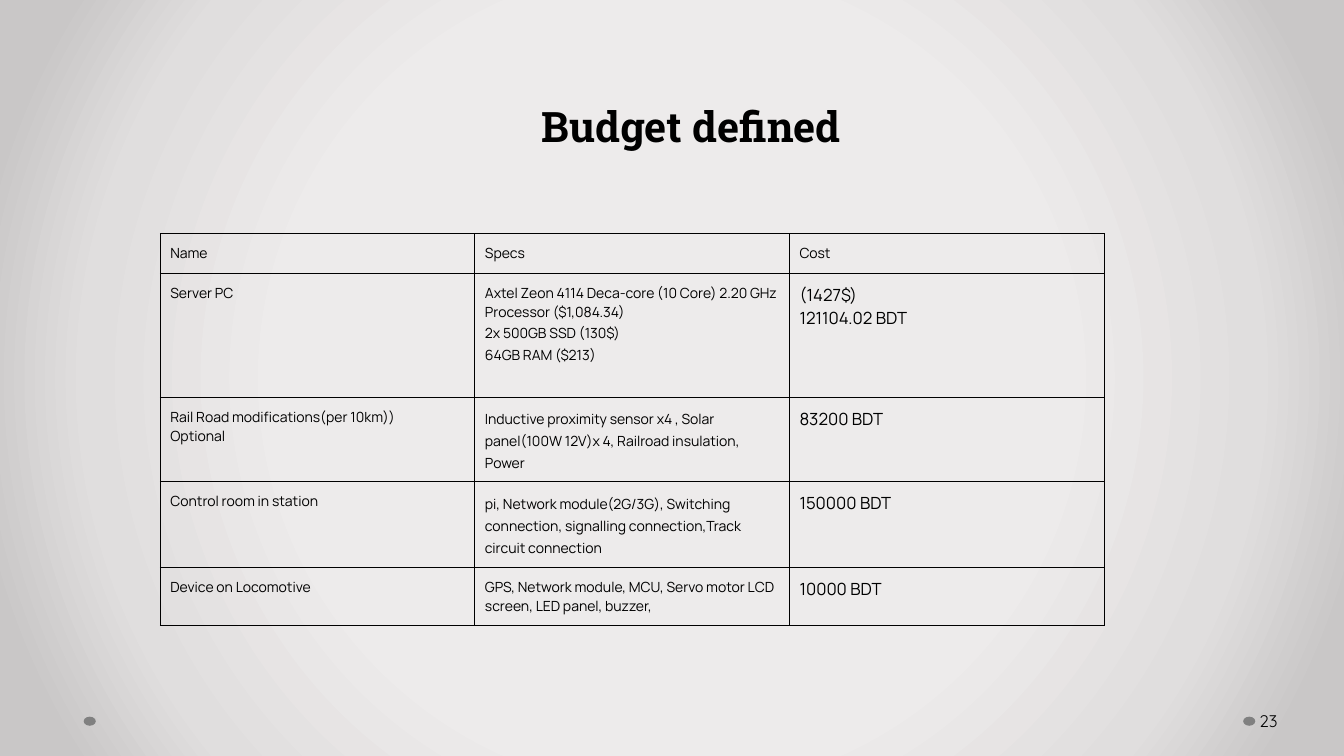
from lxml.etree import SubElement
from pptx import Presentation
from pptx.dml.color import RGBColor
from pptx.enum.shapes import MSO_SHAPE as Shape
from pptx.enum.text import MSO_ANCHOR as Anchor, PP_ALIGN as Align
from pptx.oxml.ns import qn
from pptx.util import Inches, Pt

BLACK = RGBColor(0x00, 0x00, 0x00)
GREY = RGBColor(0x80, 0x80, 0x80)
BACKDROP = {
    50: RGBColor(0xED, 0xEB, 0xEB),
    76: RGBColor(0xE0, 0xDE, 0xDE),
    92: RGBColor(0xC9, 0xC7, 0xC7),
}

COLUMN_WIDTH = 3.12
ROW_HEIGHTS = [0.39, 1.23, 0.84, 0.85, 0.58]
LOOSE = 1.15

# Each cell is a list of paragraphs: (text, line spacing)
SPECS = [
    [("Axtel Zeon 4114 Deca-core (10 Core) 2.20 GHz Processor ($1,084.34)", None),
     ("2x 500GB SSD (130$)", LOOSE),
     ("64GB RAM ($213)", LOOSE)],
    [("Inductive proximity sensor x4 , Solar panel(100W 12V)x 4, "
      "Railroad insulation, Power", LOOSE)],
    [("pi, Network module(2G/3G), Switching connection, "
      "signalling connection,Track circuit connection", LOOSE)],
    [("GPS, Network module, MCU, Servo motor LCD screen, LED panel, buzzer,", None)],
]
NAMES = [
    ["Server PC"],
    ["Rail Road modifications(per 10km))", "Optional"],
    ["Control room in station"],
    ["Device on Locomotive"],
]
COSTS = [["(1427$)", "121104.02 BDT"], ["83200 BDT"], ["150000 BDT"], ["10000 BDT"]]


def plain(lines):
    """Pair each line with the default line spacing."""
    return [(line, None) for line in lines]


class SlideBuilder:
    BODY = {"name": "Manrope", "size": Pt(10), "bold": False}
    COST = {**BODY, "size": Pt(12)}
    TITLE = {"name": "Roboto Slab", "size": Pt(30), "bold": True}
    NUMBER = {"name": "Quicksand", "size": Pt(12), "bold": False}

    def __init__(self, slide):
        self.slide = slide

    def background(self, stops):
        """Fill the slide with a circular gradient given as {percent: colour}."""
        self.slide.background.fill.gradient()
        gradient = self.slide.element.find(".//" + qn("a:gradFill"))
        for child in list(gradient):
            gradient.remove(child)
        stop_list = SubElement(gradient, qn("a:gsLst"))
        for percent, color in stops.items():
            stop = SubElement(stop_list, qn("a:gs"), pos=str(percent * 1000))
            SubElement(stop, qn("a:srgbClr"), val=str(color))
        circle = SubElement(gradient, qn("a:path"), {"path": "circle"})
        SubElement(circle, qn("a:fillToRect"), {side: "50000" for side in "ltrb"})

    def add_paragraphs(self, frame, paragraphs, style, align=None):
        for index, (text, spacing) in enumerate(paragraphs):
            paragraph = frame.add_paragraph() if index else frame.paragraphs[0]
            paragraph.alignment = align
            paragraph.line_spacing = spacing
            run = paragraph.add_run()
            run.text = text
            for name, value in style.items():
                setattr(run.font, name, value)
            run.font.color.rgb = BLACK

    def text(self, box, text, style, margins, anchor=Anchor.TOP, align=Align.LEFT):
        """Add a text box; margins are left, top, right, bottom."""
        frame = self.slide.shapes.add_textbox(*map(Inches, box)).text_frame
        frame.word_wrap = True
        frame.vertical_anchor = anchor
        for side, margin in zip(("left", "top", "right", "bottom"), margins):
            setattr(frame, f"margin_{side}", Inches(margin))
        self.add_paragraphs(frame, [(text, None)], style, align)

    def dot(self, left):
        shape = self.slide.shapes.add_shape(
            Shape.OVAL, Inches(left), Inches(7.11), Inches(0.12), Inches(0.09))
        shape.shadow.inherit = False
        shape.fill.solid()
        shape.fill.fore_color.rgb = GREY
        shape.line.fill.background()

    def cell(self, cell, paragraphs, style):
        for side in ("left", "top", "right", "bottom"):
            setattr(cell, f"margin_{side}", Inches(0.1))
        self.add_paragraphs(cell.text_frame, paragraphs, style)
        properties = cell._tc.get_or_add_tcPr()
        for side in "LRTB":
            border = SubElement(properties, qn(f"a:ln{side}"), w=str(Pt(0.75)))
            fill = SubElement(border, qn("a:solidFill"))
            SubElement(fill, qn("a:srgbClr"), val=str(BLACK))
        cell.fill.background()

    def table(self, left, top, rows):
        columns = len(rows[0])
        table = self.slide.shapes.add_table(
            len(rows), columns, Inches(left), Inches(top),
            Inches(COLUMN_WIDTH * columns), Inches(sum(ROW_HEIGHTS))).table
        table.first_row = table.horz_banding = False
        for column in table.columns:
            column.width = Inches(COLUMN_WIDTH)
        for row, height in zip(table.rows, ROW_HEIGHTS):
            row.height = Inches(height)
        for row_index, row in enumerate(rows):
            for column_index, paragraphs in enumerate(row):
                is_cost = row_index > 0 and column_index == columns - 1
                self.cell(table.cell(row_index, column_index), paragraphs,
                          self.COST if is_cost else self.BODY)


def main():
    presentation = Presentation()
    presentation.slide_width = Inches(13.33)
    presentation.slide_height = Inches(7.5)
    builder = SlideBuilder(presentation.slides.add_slide(presentation.slide_layouts[6]))

    builder.background(BACKDROP)
    for left in (12.33, 0.83):
        builder.dot(left)
    builder.text((12.46, 6.95, 0.82, 0.4), "23", builder.NUMBER,
                 (0.03, 0.05, 0.05, 0.05), anchor=Anchor.MIDDLE)

    header = [plain([heading]) for heading in ("Name", "Specs", "Cost")]
    body = [[plain(name), specs, plain(cost)]
            for name, specs, cost in zip(NAMES, SPECS, COSTS)]
    builder.table(1.59, 2.32, [header, *body])
    builder.text((1.28, 0.93, 11.15, 0.64), "Budget defined", builder.TITLE,
                 (0.13, 0.07, 0.13, 0.07), align=Align.CENTER)
    presentation.save("out.pptx")


if __name__ == "__main__":
    main()
